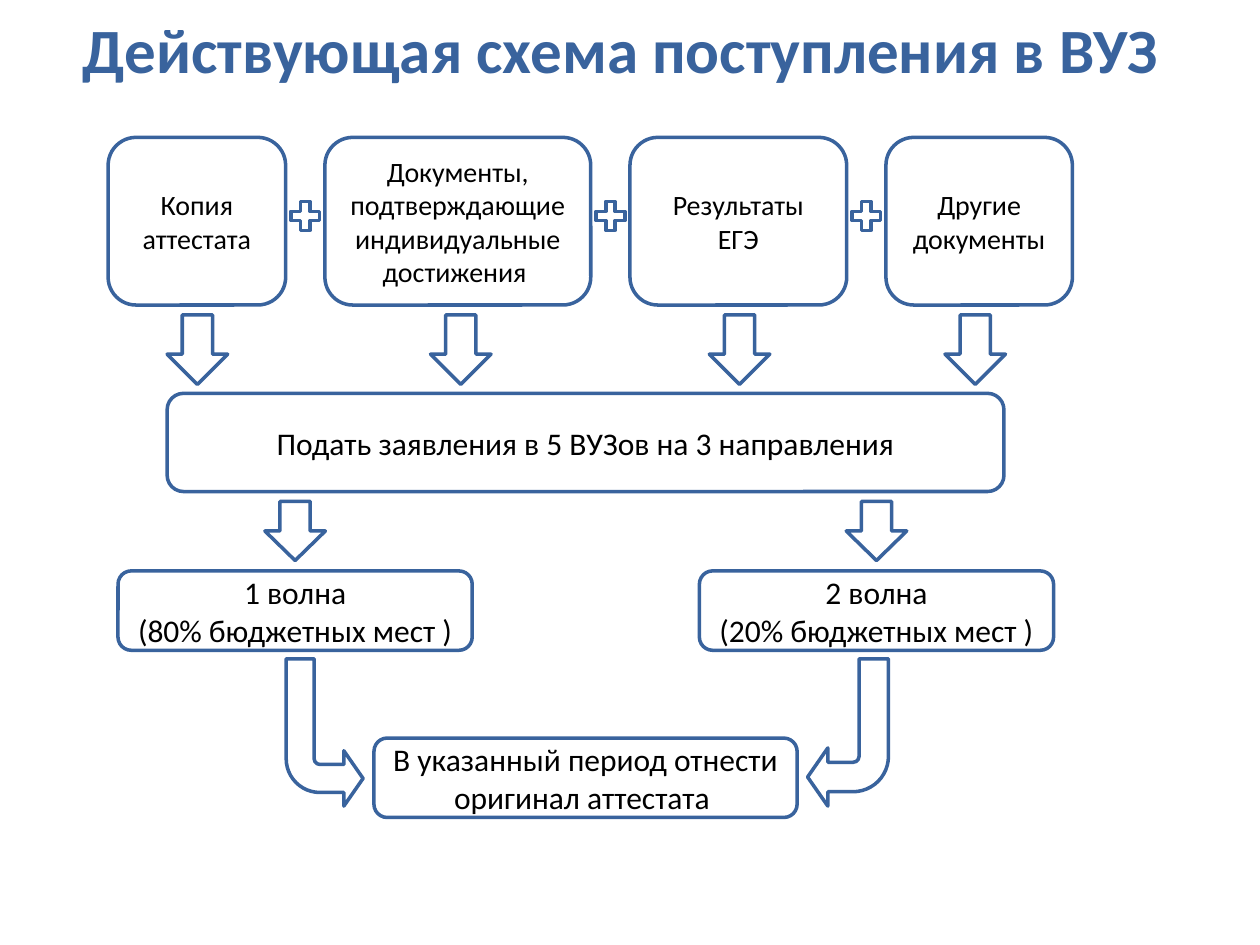
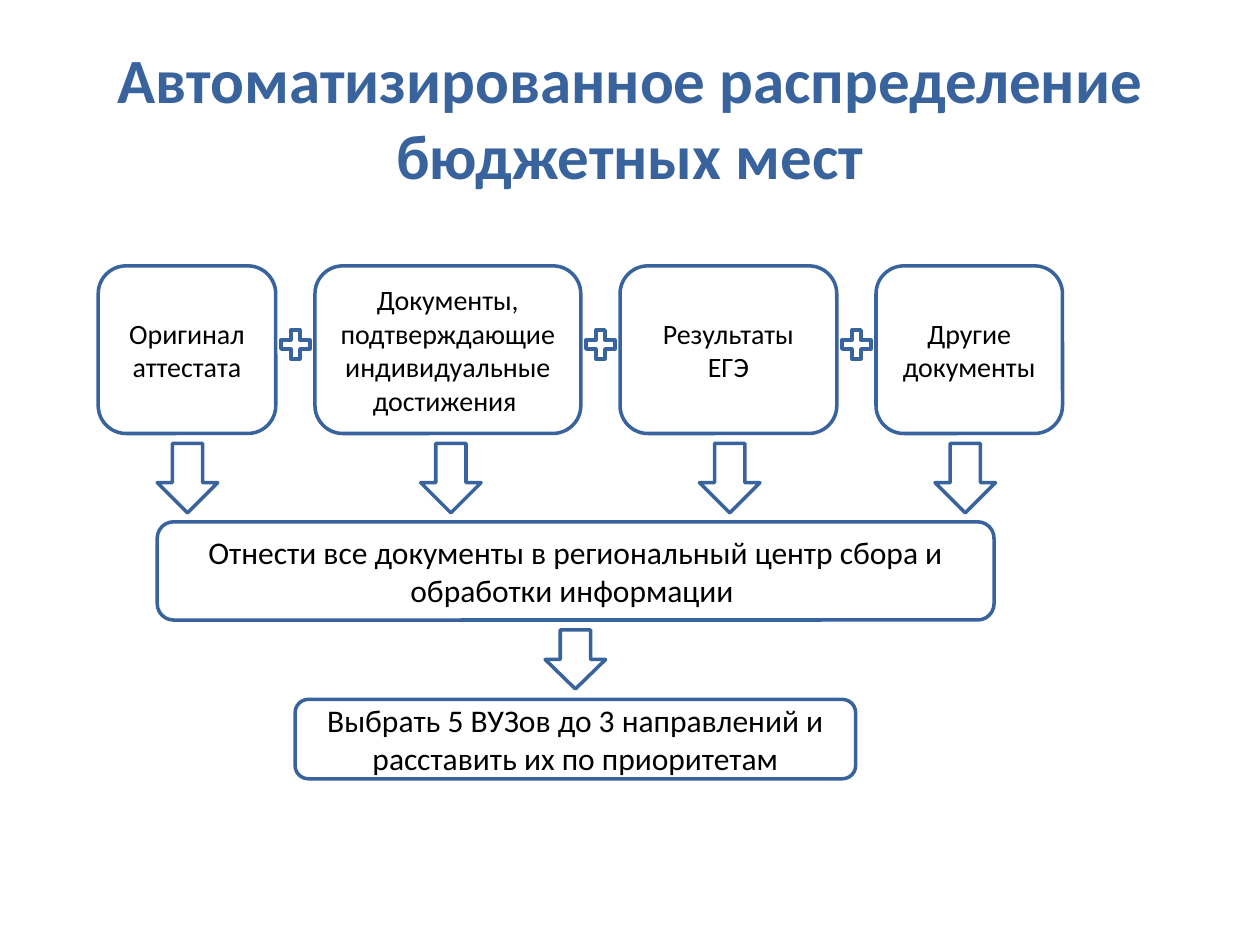
from dataclasses import dataclass

from pptx import Presentation
from pptx import util as u
from pptx.dml.color import RGBColor
from pptx.enum import shapes, text

COLORS = {"accent": "39639D", "paper": "FFFFFF", "ink": "000000"}
FONT = "Calibri"
KIND = shapes.MSO_SHAPE

# Shared scheme measures, in centimetres; tops are counted from the document row.
DOCUMENT_WIDTHS = (3.58, 5.36, 4.37, 3.76)
DOCUMENT_HEIGHT = 3.38
PLUS_SIZE = 0.79
PLUS_TOP = 1.19
ARROW_WIDTH = 1.22
ARROW_OFFSETS = (1.19, 6.5, 12.12, 16.87)
ROW_ARROW_TOP, ROW_ARROW_HEIGHT = 3.58, 1.4
ACTION_LEFT, ACTION_TOP = 1.19, 5.16
ACTION_WIDTH, ACTION_HEIGHT = 16.87, 1.98
STEP_ARROW_TOP, STEP_ARROW_HEIGHT = 7.34, 1.19
STEP_TOP, STEP_HEIGHT = 8.74, 1.6
BEND_ADJUSTMENTS = (0.364, 0.36, 0.25, 0.438)


@dataclass(frozen=True)
class Area:
    left: float
    top: float
    width: float
    height: float

    def lengths(self) -> tuple:
        return tuple(u.Cm(v) for v in (self.left, self.top, self.width, self.height))


@dataclass(frozen=True)
class Step:
    left: float
    width: float
    wording: str


@dataclass(frozen=True)
class Scheme:
    title: str
    title_area: Area
    left: float
    top: float
    certificate: str
    action: str
    steps: tuple


SCHEMES = (
    Scheme(
        "Действующая схема поступления в ВУЗ", Area(1.09, 0, 22.86, 1.93),
        2.18, 2.77, "Копия аттестата",
        "Подать заявления в 5 ВУЗов на 3 направления",
        (Step(2.38, 7.14, "1 волна\n(80% бюджетных мест )"),
         Step(14.1, 7.14, "2 волна\n(20% бюджетных мест )")),
    ),
    Scheme(
        "Автоматизированное распределение бюджетных мест", Area(1.27, 0.76, 22.86, 3.18),
        1.98, 5.36, "Оригинал аттестата",
        "Отнести все документы в региональный центр сбора и обработки информации ",
        (Step(5.95, 11.3, "Выбрать 5 ВУЗов до 3 направлений и расставить их по приоритетам"),),
    ),
)


def color(name: str) -> RGBColor:
    return RGBColor.from_string(COLORS[name])


def write(box, wording: str, size: int, ink: str = "ink", bold: bool = False) -> None:
    frame = box.text_frame
    frame.word_wrap = True
    frame.vertical_anchor = text.MSO_ANCHOR.MIDDLE
    font_format = {"name": FONT, "size": u.Pt(size), "bold": bold}
    for index, line in enumerate(wording.split("\n")):
        para = frame.add_paragraph() if index else frame.paragraphs[0]
        para.alignment = text.PP_ALIGN.CENTER
        span = para.add_run()
        span.text = line
        for name, value in font_format.items():
            setattr(span.font, name, value)
        span.font.color.rgb = color(ink)


def outlined(page, kind, area: Area):
    """Add a white shape with the blue outline used in every scheme."""
    shape = page.shapes.add_shape(kind, *area.lengths())
    shape.shadow.inherit = False
    shape.fill.solid()
    shape.fill.fore_color.rgb = color("paper")
    shape.line.color.rgb = color("accent")
    shape.line.width = u.Pt(2)
    return shape


def add_box(page, area: Area, wording: str, size: int) -> None:
    write(outlined(page, KIND.ROUNDED_RECTANGLE, area), wording, size)


def add_bend(page, area: Area, mirrored: bool) -> None:
    """Add an arrow that comes down and turns left, or right when mirrored."""
    bend = outlined(page, KIND.BENT_ARROW, area)
    bend.rotation = 180
    for index, value in enumerate(BEND_ADJUSTMENTS):
        bend.adjustments[index] = value
    if mirrored:
        bend.element.spPr.get_or_add_xfrm().set("flipH", "1")


def add_documents(page, scheme: Scheme) -> None:
    documents = (
        scheme.certificate,
        "Документы, подтверждающие индивидуальные достижения ",
        "Результаты ЕГЭ",
        "Другие документы",
    )
    left = scheme.left
    for index, (wording, width) in enumerate(zip(documents, DOCUMENT_WIDTHS)):
        if index:
            plus = Area(left, scheme.top + PLUS_TOP, PLUS_SIZE, PLUS_SIZE)
            outlined(page, KIND.MATH_PLUS, plus)
            left += PLUS_SIZE
        add_box(page, Area(left, scheme.top, width, DOCUMENT_HEIGHT), wording, 16)
        left += width
    for offset in ARROW_OFFSETS:
        outlined(page, KIND.DOWN_ARROW, Area(
            scheme.left + offset, scheme.top + ROW_ARROW_TOP, ARROW_WIDTH, ROW_ARROW_HEIGHT))


def add_scheme(page, scheme: Scheme) -> None:
    title = page.shapes.add_textbox(*scheme.title_area.lengths())
    write(title, scheme.title, 36, "accent", True)
    add_documents(page, scheme)
    add_box(page, Area(scheme.left + ACTION_LEFT, scheme.top + ACTION_TOP,
                       ACTION_WIDTH, ACTION_HEIGHT), scheme.action, 18)
    for step in scheme.steps:
        add_box(page, Area(step.left, scheme.top + STEP_TOP, step.width, STEP_HEIGHT),
                step.wording, 18)
        arrow_left = step.left + (step.width - ARROW_WIDTH) / 2
        outlined(page, KIND.DOWN_ARROW, Area(
            arrow_left, scheme.top + STEP_ARROW_TOP, ARROW_WIDTH, STEP_ARROW_HEIGHT))


def add_final_step(page) -> None:
    add_box(page, Area(7.54, 14.88, 8.53, STEP_HEIGHT),
            "В указанный период отнести оригинал аттестата ", 18)
    add_bend(page, Area(16.28, 13.28, 1.63, 2.97), mirrored=False)
    add_bend(page, Area(5.77, 13.28, 1.55, 2.97), mirrored=True)


def main() -> None:
    deck = Presentation()
    deck.slide_width, deck.slide_height = u.Cm(25.4), u.Cm(19.05)
    pages = [deck.slides.add_slide(deck.slide_layouts[6]) for _ in SCHEMES]
    for page, scheme in zip(pages, SCHEMES):
        add_scheme(page, scheme)
    add_final_step(pages[0])
    deck.save("out.pptx")


if __name__ == "__main__":
    main()
